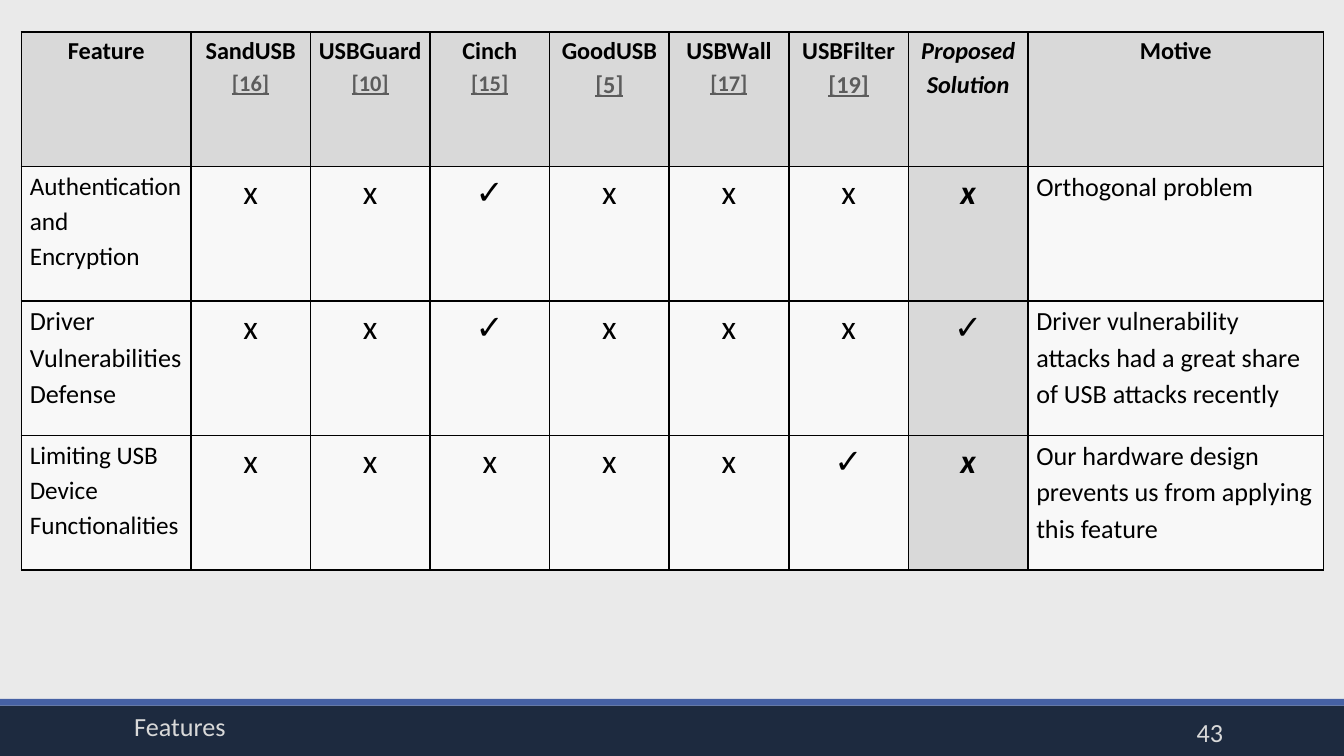
from lxml import etree
from pptx import Presentation
from pptx.dml.color import RGBColor as RGB
from pptx.enum.shapes import MSO_SHAPE as SHAPE
from pptx.enum.text import MSO_ANCHOR as ANCHOR, PP_ALIGN as ALIGN
from pptx.oxml.ns import qn
from pptx.util import Inches, Pt

COLORS = {
    "back": "EAEAEA", "bar": "1D2A3F", "stripe": "4661A4", "pale": "D9D9D9",
    "body": "F8F8F8", "ink": "000000", "cite": "5C5C5C",
}
FONT = "Calibri"
WIDE = 10
HIGH = WIDE * 9 / 16
WIDTHS = [1.26] + [0.89] * 7 + [2.2]
OWN = 7  # column of the proposed solution

# Systems with their reference and its text size
SYSTEMS = [
    ("SandUSB", "[16]", 12), ("USBGuard", "[10]", 12), ("Cinch", "[15]", 12),
    ("GoodUSB", "[5]", 13), ("USBWall", "[17]", 12), ("USBFilter", "[19]", 13),
]
# Feature lines, feature text size, marks, motive
FEATURES = [
    (["Authentication and Encryption"], 13.5, "xx✓xxxx", "Orthogonal problem"),
    (["Driver", "Vulnerabilities Defense"], 14, "xx✓xxx✓",
     "Driver vulnerability attacks had a great share of USB attacks recently"),
    (["Limiting USB Device Functionalities"], 13.5, "xxxxx✓x",
     "Our hardware design prevents us from applying this feature"),
]


def paint(fill, color):
    fill.solid()
    fill.fore_color.rgb = RGB.from_string(COLORS[color])


def write(para, text, size, color="ink", align=ALIGN.LEFT, **style):
    para.alignment = align
    run = para.add_run()
    run.text = text
    font = run.font
    look = {"name": FONT, "size": Pt(size), **style}
    for key, value in look.items():
        setattr(font, key, value)
    font.color.rgb = RGB.from_string(COLORS[color])


def add_edges(cell):
    """Draw a thin black border on all four sides of a cell."""
    props = cell._tc.get_or_add_tcPr()
    for spot, side in enumerate(("lnL", "lnR", "lnT", "lnB")):
        line = etree.Element(qn("a:" + side), w=str(Pt(1)))
        solid = etree.SubElement(line, qn("a:solidFill"))
        etree.SubElement(solid, qn("a:srgbClr"), val=COLORS["ink"])
        props.insert(spot, line)


def fill_cell(cell, lines, color):
    """Write lines, each a (text, size, style) triple, into a cell."""
    format = {"margin_left": Pt(4.5), "margin_right": Pt(4.5),
              "margin_top": 0, "margin_bottom": 0}
    for key, value in format.items():
        setattr(cell, key, value)
    paint(cell.fill, color)
    add_edges(cell)
    frame = cell.text_frame
    for i, (text, size, style) in enumerate(lines):
        para = frame.add_paragraph() if i else frame.paragraphs[0]
        para.line_spacing = 1.15
        write(para, text, size, **style)


def head_cells():
    bold = {"bold": True, "align": ALIGN.CENTER}
    cite = {**bold, "color": "cite", "underline": True}
    own = {**bold, "italic": True}
    return [
        [("Feature", 13, bold)],
        *[[(name, 13, bold), (ref, size, cite)] for name, ref, size in SYSTEMS],
        [("Proposed", 13, own), ("Solution", 13, own)],
        [("Motive", 13, bold)],
    ]


def body_cells(names, size, marks, motive):
    cells = [[(name, size, {}) for name in names]]
    for col, mark in enumerate(marks, 1):
        own = col == OWN
        style = {"align": ALIGN.CENTER, "bold": own, "italic": own}
        cells.append([(mark, 18, style)])
    return cells + [[(motive, 14, {})]]


def add_grid(slide, left, top, width, height):
    rows = [head_cells()] + [body_cells(*item) for item in FEATURES]
    box = [Inches(v) for v in (left, top, width, height)]
    table = slide.shapes.add_table(len(rows), len(WIDTHS), *box).table
    for col, wide in zip(table.columns, WIDTHS):
        col.width = Inches(wide)
    for r, row in enumerate(rows):
        table.rows[r].height = Inches(height / len(rows))
        for c, lines in enumerate(row):
            shade = "pale" if r == 0 or c == OWN else "body"
            fill_cell(table.cell(r, c), lines, shade)


def add_band(slide, color, *box):
    band = slide.shapes.add_shape(SHAPE.RECTANGLE, *map(Inches, box))
    band.shadow.inherit = False
    paint(band.fill, color)
    band.line.fill.background()


def add_label(slide, text, align, *box):
    frame = slide.shapes.add_textbox(*map(Inches, box)).text_frame
    frame.word_wrap = True
    frame.vertical_anchor = ANCHOR.MIDDLE
    write(frame.paragraphs[0], text, 14, "pale", align)


def add_footer(slide, left, top, width, height):
    thin = 0.05
    add_band(slide, "bar", left, top + thin, width, height - thin)
    add_band(slide, "stripe", left, top, width, thin)
    add_label(slide, "Features", ALIGN.LEFT, left + 0.9, top + 0.05, 3.96, 0.3)
    add_label(slide, "43", ALIGN.RIGHT, left + 8.12, top + 0.1, 1.08, 0.3)


def main():
    deck = Presentation()
    deck.slide_width, deck.slide_height = Inches(WIDE), Inches(HIGH)
    slide = deck.slides.add_slide(deck.slide_layouts[6])
    paint(slide.background.fill, "back")
    add_footer(slide, 0, 5.2, WIDE, HIGH - 5.2)
    add_grid(slide, 0.16, 0.24, sum(WIDTHS), 4)
    deck.save("out.pptx")


if __name__ == "__main__":
    main()
